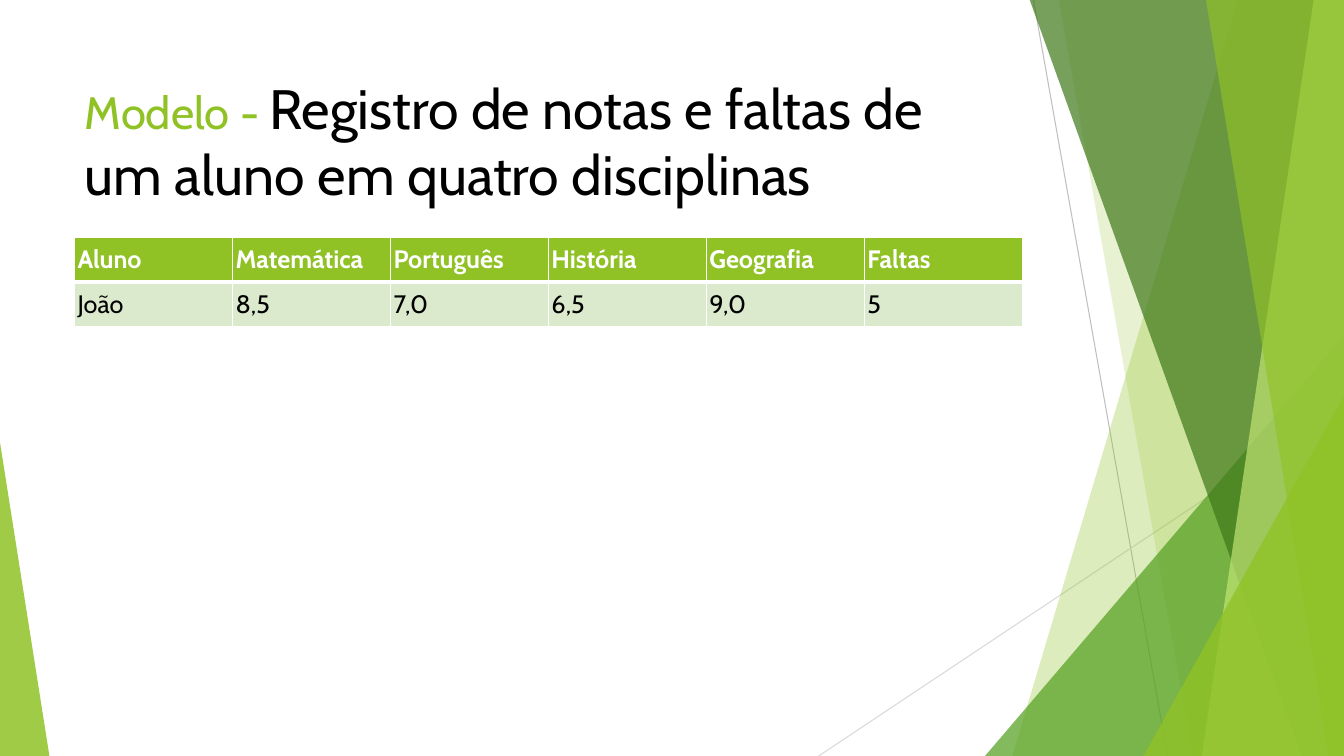
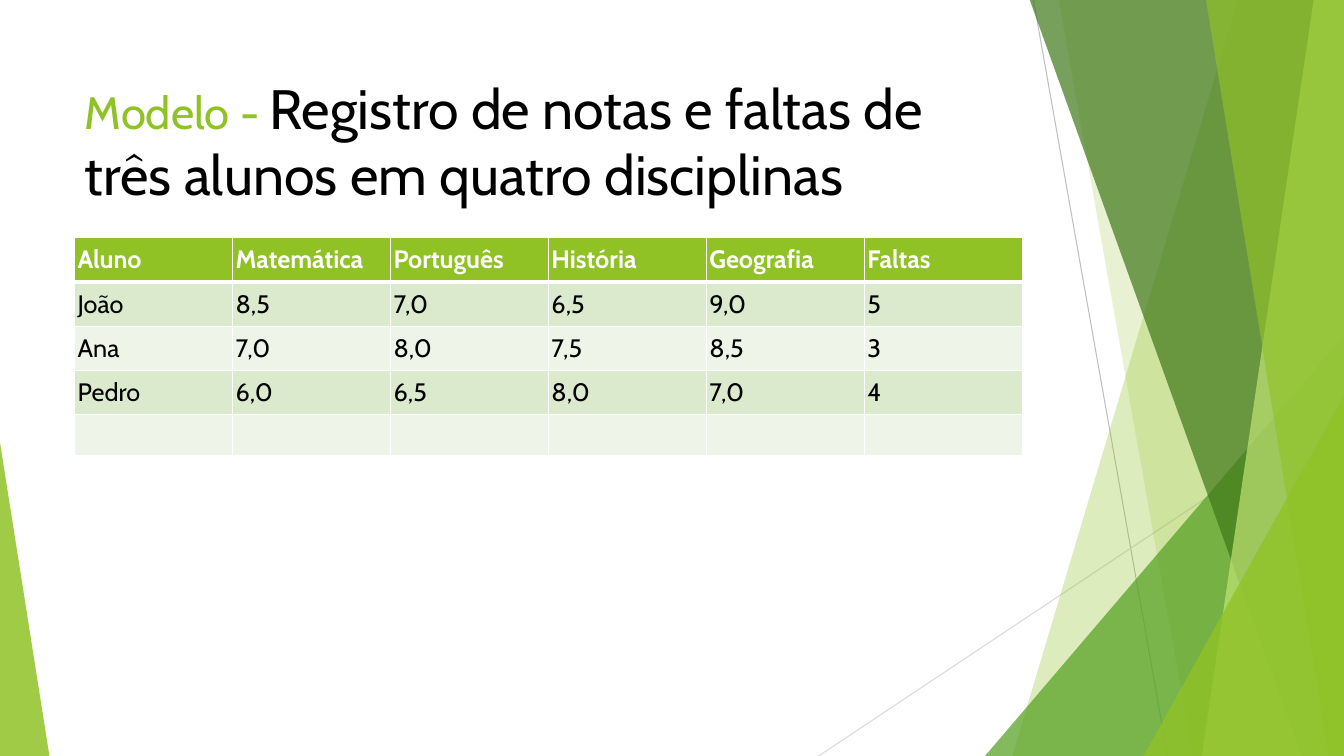
from lxml import etree
from pptx import Presentation
from pptx.dml.color import RGBColor
from pptx.enum import shapes, text
from pptx.oxml import ns
from pptx.util import Inches, Pt

FONT = "Cabin"
LIME = RGBColor(0x90, 0xC2, 0x26)
PALE_LIME = RGBColor(0xC0, 0xE4, 0x74)
GREEN = RGBColor(0x54, 0xA0, 0x21)
DARK_GREEN = RGBColor(0x3F, 0x78, 0x19)
BAND_DARK = RGBColor(0xDB, 0xE9, 0xCD)
BAND_LIGHT = RGBColor(0xEE, 0xF4, 0xE8)
GREY = RGBColor(0xBF, 0xBF, 0xBF)
LIGHT_GREY = RGBColor(0xD9, 0xD9, 0xD9)
BLACK = RGBColor(0, 0, 0)
WHITE = RGBColor(0xFF, 0xFF, 0xFF)

WIDTH, HEIGHT = 13.33, 7.5
LEFT, CONTENT_WIDTH = 0.74, 9.4
TITLE_TOP, TITLE_HEIGHT = 0.67, 1.44
TABLE_TOP, ROW_HEIGHT = 2.36, 0.41
BAND_TOP = -0.01

PREFIX = "Modelo - "
HEADER = ("Aluno", "Matemática", "Português", "História", "Geografia", "Faltas")
JOAO = ("João", "8,5", "7,0", "6,5", "9,0", "5")
SLIDES = [
    ("Registro de notas e faltas de um aluno em quatro disciplinas", [HEADER, JOAO]),
    ("Registro de notas e faltas de três alunos em quatro disciplinas", [
        HEADER,
        JOAO,
        ("Ana", "7,0", "8,0", "7,5", "8,5", "3"),
        ("Pedro", "6,0", "6,5", "8,0", "7,0", "4"),
        ("",) * len(HEADER),
    ]),
]

LINES = [
    ((10.25, 0), (11.58, HEIGHT), GREY),
    ((WIDTH, 4.03), (8.12, HEIGHT), LIGHT_GREY),
]
FACETS = [
    ("band", (12.28, 10.04), LIME, 30),
    ("band", (10.5, 11.83), LIME, 20),
    ("triangle", (9.77, 3.33, 3.56, 1), GREEN, 72),
    ("band", (10.21, 12.91), DARK_GREEN, 70),
    ("band", (13.03, 11.92), PALE_LIME, 70),
    ("band", (11.96, 13.18), LIME, 65),
    ("triangle", (11.34, 3.93, 1.99, 1), LIME, 80),
    ("triangle", (0, 4.39, 0.49, 0), LIME, 85),
]


def add_line(s, start, end, color):
    c = s.shapes.add_connector(
        shapes.MSO_CONNECTOR.STRAIGHT, *(Inches(v) for v in start + end))
    c.line.color.rgb = color
    c.line.width = Pt(0.75)
    etree.SubElement(c.element.spPr, ns.qn("a:effectLst"))


def add_band(s, top_x, bottom_x):
    points = [(Inches(x), Inches(y)) for x, y in (
        (top_x, BAND_TOP), (WIDTH, BAND_TOP), (WIDTH, HEIGHT), (bottom_x, HEIGHT))]
    builder = s.shapes.build_freeform(*points[0])
    builder.add_line_segments(points[1:], close=True)
    return builder.convert_to_shape()


def add_triangle(s, left, top, width, apex):
    sp = s.shapes.add_shape(
        shapes.MSO_SHAPE.ISOSCELES_TRIANGLE,
        *(Inches(v) for v in (left, top, width, HEIGHT - top)))
    sp.adjustments[0] = apex
    return sp


def paint(sp, color, opacity):
    sp.shadow.inherit = False
    sp.line.fill.background()
    sp.fill.solid()
    sp.fill.fore_color.rgb = color
    clr = sp.element.spPr.find(ns.qn("a:solidFill"))[0]
    etree.SubElement(clr, ns.qn("a:alpha"), val=str(opacity * 1000))


def decorate(layout, s):
    for line in LINES:
        add_line(s, *line)
    for kind, geometry, color, opacity in FACETS:
        add = add_band if kind == "band" else add_triangle
        paint(add(s, *geometry), color, opacity)
    for sp in list(s.shapes):
        if not sp.is_placeholder:
            layout.shapes.element.append(sp.element)


def place_title(layout):
    sp = layout.placeholders[0]
    sp.left, sp.top = Inches(LEFT), Inches(TITLE_TOP)
    sp.width, sp.height = Inches(CONTENT_WIDTH), Inches(TITLE_HEIGHT)


def style(r, size, color, bold=False):
    r.font.name = FONT
    r.font.size = Pt(size)
    r.font.color.rgb = color
    r.font.bold = bold


def fill_title(s, title):
    tf = s.shapes.title.text_frame
    tf.word_wrap = True
    tf.auto_size = text.MSO_AUTO_SIZE.NONE
    tf.vertical_anchor = text.MSO_ANCHOR.MIDDLE
    p = tf.paragraphs[0]
    p.alignment = text.PP_ALIGN.LEFT
    for words, size, color in ((PREFIX, 32.4, LIME), (title, 39.6, BLACK)):
        r = p.add_run()
        r.text = words
        style(r, size, color)


def add_borders(cell, bottom):
    tcPr = cell._tc.get_or_add_tcPr()
    for side, width in (("L", 1), ("R", 1), ("T", 1), ("B", bottom)):
        ln = etree.SubElement(tcPr, ns.qn("a:ln" + side), w=str(Pt(width)))
        fill = etree.SubElement(ln, ns.qn("a:solidFill"))
        etree.SubElement(fill, ns.qn("a:srgbClr"), val=str(WHITE))


def fill_cell(cell, value, is_header, background):
    add_borders(cell, 3 if is_header else 1)
    cell.fill.solid()
    cell.fill.fore_color.rgb = background
    cell.vertical_anchor = text.MSO_ANCHOR.MIDDLE
    if value:
        cell.margin_left = cell.margin_right = Inches(0.03)
        cell.margin_top = cell.margin_bottom = Pt(4.8)
        cell.text_frame.text = value
        r = cell.text_frame.paragraphs[0].runs[0]
        style(r, 18, WHITE if is_header else BLACK, is_header)


def add_grades(s, rows):
    table = s.shapes.add_table(
        len(rows), len(HEADER), Inches(LEFT), Inches(TABLE_TOP),
        Inches(CONTENT_WIDTH), Inches(ROW_HEIGHT * len(rows))).table
    for i, row in enumerate(rows):
        background = LIME if i == 0 else (BAND_LIGHT, BAND_DARK)[i % 2]
        for j, value in enumerate(row):
            fill_cell(table.cell(i, j), value, i == 0, background)


prs = Presentation()
prs.slide_width, prs.slide_height = Inches(WIDTH), Inches(HEIGHT)
layout = prs.slide_layouts[5]
place_title(layout)
for i, (title, rows) in enumerate(SLIDES):
    s = prs.slides.add_slide(layout)
    if i == 0:
        decorate(layout, s)
    fill_title(s, title)
    add_grades(s, rows)
prs.save("out.pptx")
